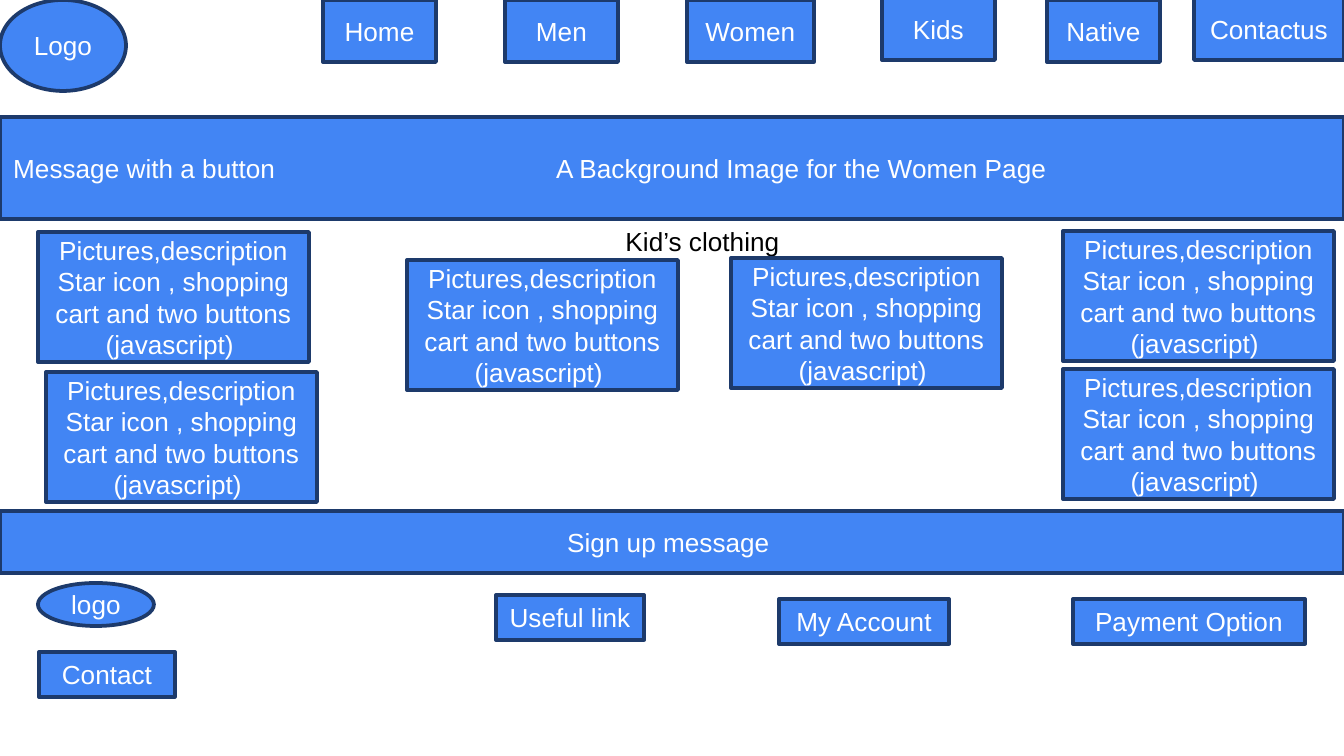
from lxml import etree
from pptx import Presentation
from pptx import util as u
from pptx.dml.color import RGBColor
from pptx.enum import shapes, text
from pptx.oxml.ns import qn

PX = 914400 / 134.4
BLUE = RGBColor(0x42, 0x85, 0xF4)
NAVY = RGBColor(0x1D, 0x3A, 0x6B)
WHITE = RGBColor(0xFF, 0xFF, 0xFF)
BLACK = RGBColor(0x00, 0x00, 0x00)
RECT = shapes.MSO_SHAPE.RECTANGLE
OVAL = shapes.MSO_SHAPE.OVAL
CENTER = text.PP_ALIGN.CENTER
LEFT = text.PP_ALIGN.LEFT

prs = Presentation()
prs.slide_width = u.Emu(round(1344 * PX))
prs.slide_height = u.Emu(round(756 * PX))
s = prs.slides.add_slide(prs.slide_layouts[6])


def write(tf, lines, color, align):
    for i, line in enumerate(lines):
        p = tf.paragraphs[0] if i == 0 else tf.add_paragraph()
        p.alignment = align
        r = p.add_run()
        r.text = line
        r.font.name = "Arial"
        r.font.size = u.Pt(14)
        r.font.color.rgb = color


def box(kind, x, y, w, h, lines, align=CENTER):
    sp = s.shapes.add_shape(kind, *(u.Emu(round(v * PX)) for v in (x, y, w, h)))
    sp.shadow.inherit = False
    sp.fill.solid()
    sp.fill.fore_color.rgb = BLUE
    sp.line.color.rgb = NAVY
    sp.line.width = u.Pt(2)
    sp.text_frame.vertical_anchor = text.MSO_ANCHOR.MIDDLE
    write(sp.text_frame, lines, WHITE, align)
    return sp


for label, x, y, w in [
    ("Home", 323, 0, 113),
    ("Men", 505, 0, 113),
    ("Women", 687, 0, 127),
    ("Kids", 882, -2, 113),
    ("Native", 1047, 0, 113),
    ("Contactus", 1194, -2, 150),
]:
    box(RECT, x, y, w, 62, [label])

heading = s.shapes.add_textbox(*(u.Emu(round(v * PX)) for v in (605, 219, 204, 46)))
heading.text_frame.word_wrap = False
heading.text_frame.auto_size = text.MSO_AUTO_SIZE.SHAPE_TO_FIT_TEXT
write(heading.text_frame, [" Kid’s clothing"], BLACK, LEFT)

card = ["Pictures,description", "Star icon , shopping cart and two buttons", " (javascript)  "]
for x, y in [(38, 232), (1063, 231), (731, 258), (407, 260), (46, 372), (1063, 369)]:
    box(RECT, x, y, 271, 130, card)

banner = box(RECT, 0, 117, 1344, 102,
             ["Message with a button\tA Background Image for the Women Page"], LEFT)
pPr = banner.text_frame.paragraphs[0]._p.get_or_add_pPr()
tabs = etree.SubElement(pPr, qn("a:tabLst"))
etree.SubElement(tabs, qn("a:tab"), pos=str(round(543 * PX)), algn="l")

box(RECT, 0, 511, 1344, 62, ["Sign up message "])

for label, x, y, w in [
    ("Contact", 39, 652, 136),
    ("Useful link ", 496, 595, 148),
    ("My Account", 779, 599, 170),
    ("Payment Option", 1073, 599, 232),
]:
    box(RECT, x, y, w, 45, [label])

box(OVAL, 38, 583, 116, 43, ["logo"])
box(OVAL, 0, 0, 126, 91, ["Logo"])

prs.save("out.pptx")
